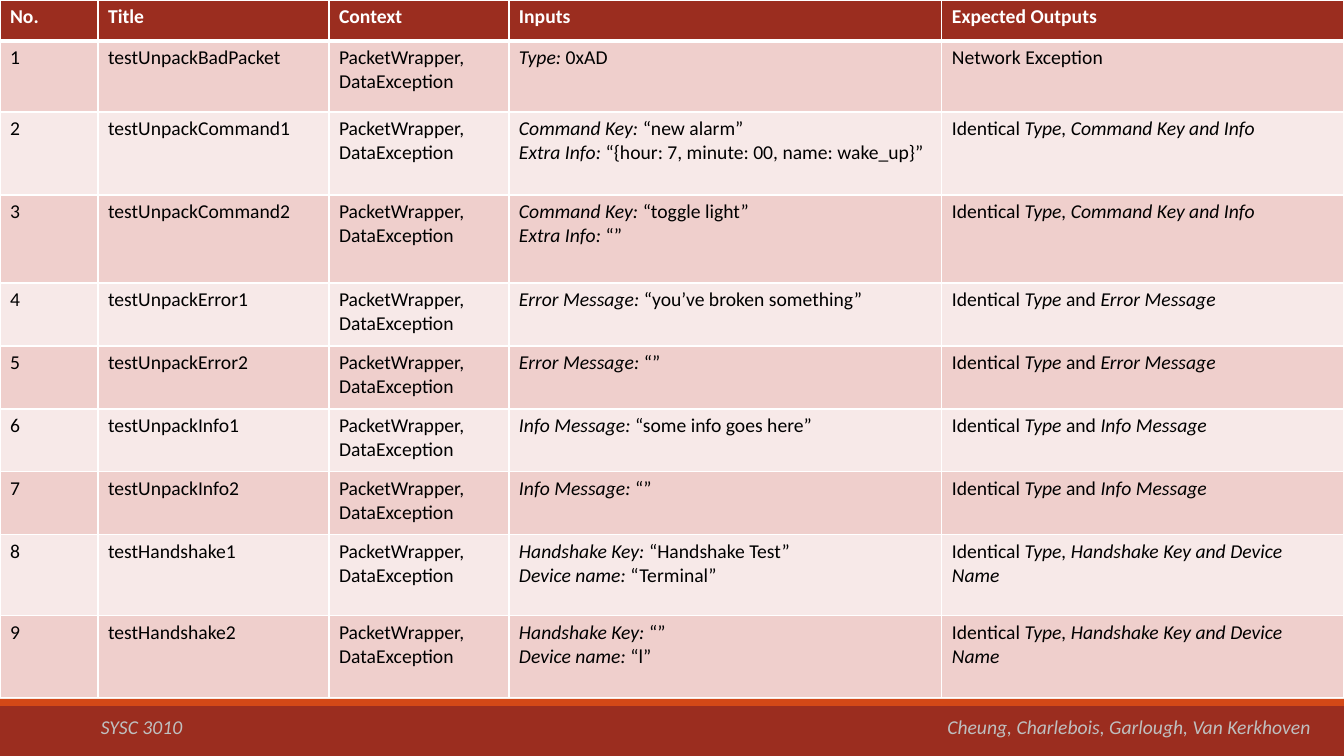
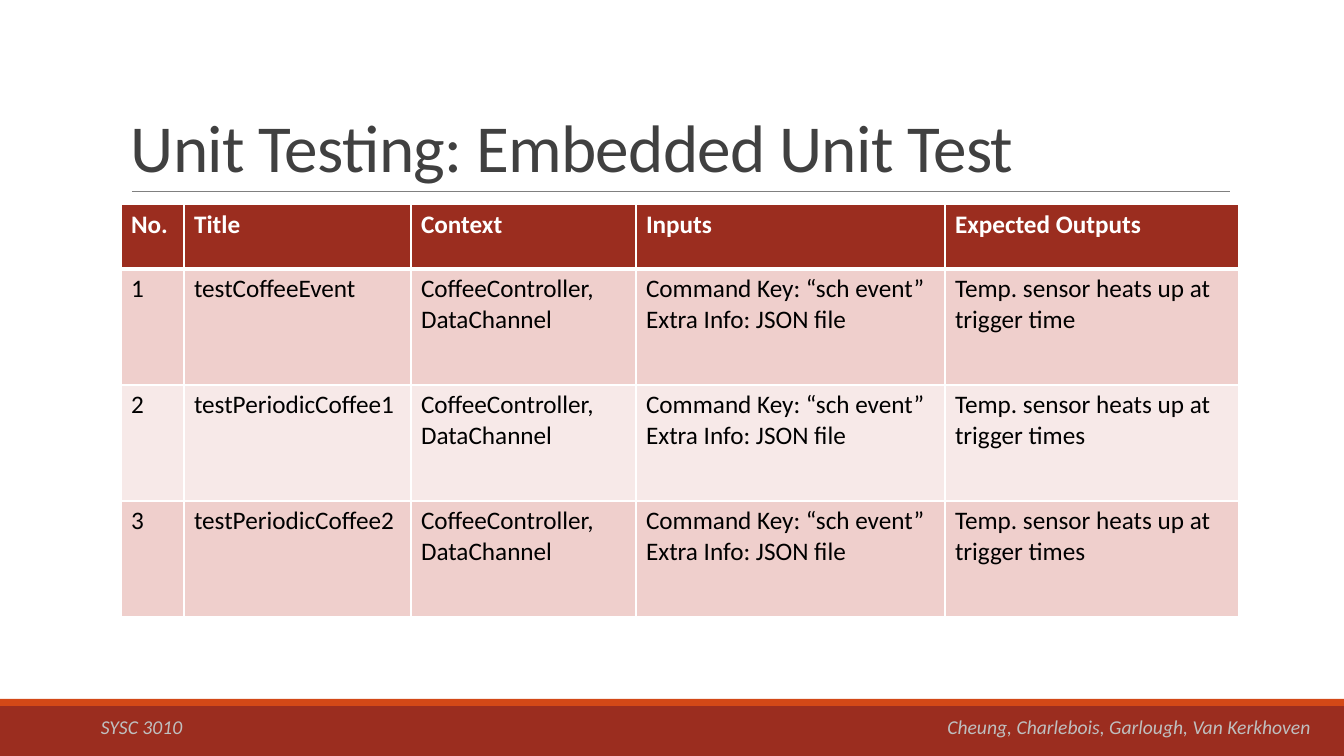
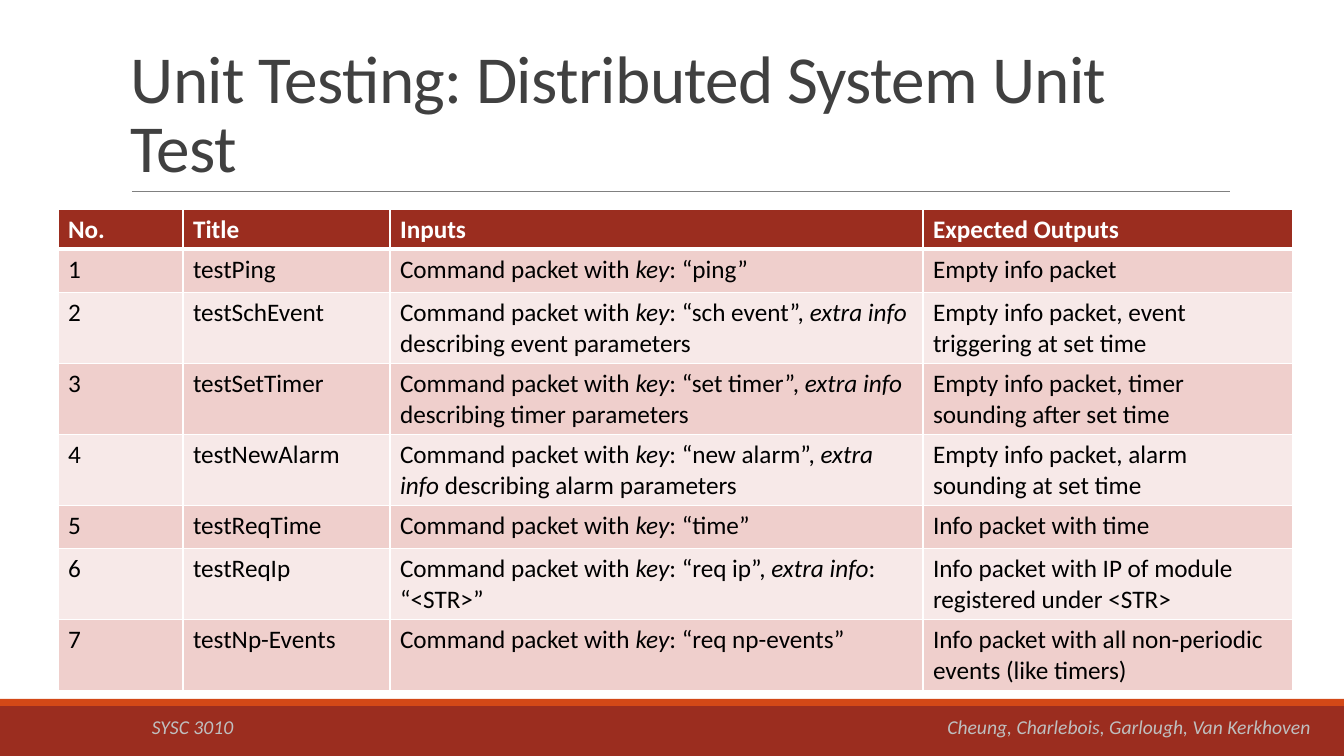
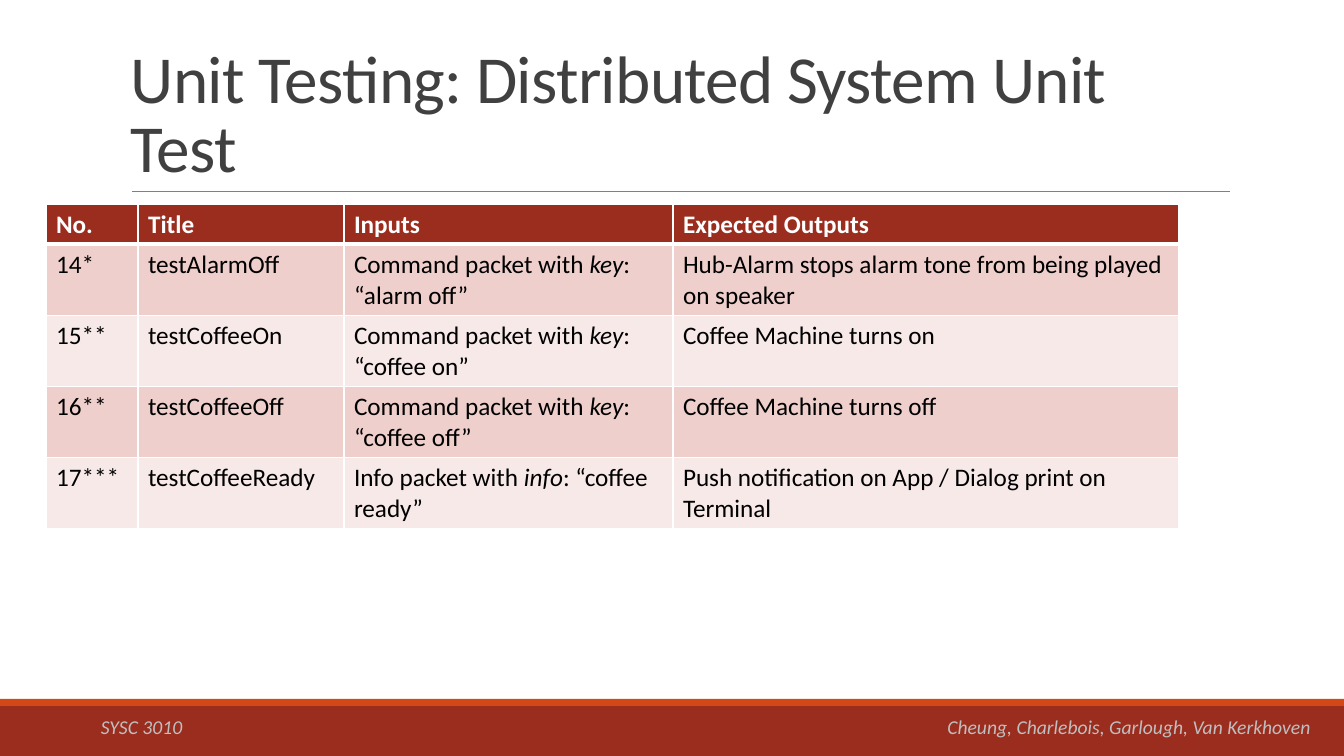
from dataclasses import dataclass

from lxml import etree
from pptx import Presentation
from pptx.dml.color import RGBColor
from pptx.enum.shapes import MSO_CONNECTOR, MSO_SHAPE
from pptx.enum.text import MSO_ANCHOR, PP_ALIGN
from pptx.oxml.ns import qn
from pptx.slide import Slide
from pptx.table import _Cell
from pptx.text.text import TextFrame
from pptx.util import Emu, Pt

# Shared look
FONT = "Calibri"
WHITE = RGBColor(0xFF, 0xFF, 0xFF)
BLACK = RGBColor(0x00, 0x00, 0x00)
BRICK = RGBColor(0x9B, 0x2D, 0x1F)
ORANGE = RGBColor(0xD3, 0x48, 0x17)
ROSE = RGBColor(0xEF, 0xCF, 0xCC)
PALE_ROSE = RGBColor(0xF7, 0xE9, 0xE8)
TITLE_GREY = RGBColor(0x40, 0x40, 0x40)
RULE_GREY = RGBColor(0x80, 0x80, 0x80)
FOOTER_GREY = RGBColor(0xBF, 0xBF, 0xBF)

SLIDE_WIDTH, SLIDE_HEIGHT = 1344, 756
EMU_PER_PIXEL = 914400 / 100.8
COURSE = "SYSC 3010"
AUTHORS = "Cheung, Charlebois, Garlough, Van Kerkhoven"


def px(pixels: int) -> Emu:
    return Emu(round(pixels * EMU_PER_PIXEL))


@dataclass(frozen=True)
class Box:
    left: int
    top: int
    width: int
    height: int

    def emu(self) -> tuple[Emu, Emu, Emu, Emu]:
        return px(self.left), px(self.top), px(self.width), px(self.height)


@dataclass(frozen=True)
class TextStyle:
    size: int
    color: RGBColor
    bold: bool = False
    italic: bool = False
    spacing: int = 0  # hundredths of a point


@dataclass(frozen=True)
class TestTable:
    left: int
    top: int
    columns: list[int]
    rows: list[int]
    size: int
    cells: list[tuple[str, ...]]  # |bars| enclose italics, line ends split paragraphs


@dataclass(frozen=True)
class TestSlide:
    table: TestTable
    title: str = ""
    course_left: int = 91


TITLE_STYLE = TextStyle(48, TITLE_GREY, spacing=-50)
FOOTER_STYLE = TextStyle(14, FOOTER_GREY, italic=True)
TITLE_BOX = Box(121, 31, 1109, 160)
BANDS = [
    (Box(0, 706, SLIDE_WIDTH, 50), BRICK),
    (Box(0, 699, SLIDE_WIDTH, 7), ORANGE),
]


# Drawing functions
def write(frame: TextFrame, text: str, style: TextStyle,
          align: PP_ALIGN = PP_ALIGN.LEFT, line_spacing: float = 1.0) -> None:
    frame.word_wrap = True
    for index, line in enumerate(text.split("\n")):
        paragraph = frame.add_paragraph() if index else frame.paragraphs[0]
        paragraph.alignment = align
        paragraph.line_spacing = line_spacing
        for part, words in enumerate(line.split("|")):
            if not words:
                continue
            run = paragraph.add_run()
            run.text = words
            font = run.font
            font.name, font.size, font.bold = FONT, Pt(style.size), style.bold
            font.italic = style.italic or part % 2 == 1
            font.color.rgb = style.color
            if style.spacing:
                font._element.set("spc", str(style.spacing))


def add_text(slide: Slide, box: Box, text: str, style: TextStyle,
             align: PP_ALIGN = PP_ALIGN.LEFT, anchor: MSO_ANCHOR = MSO_ANCHOR.TOP,
             line_spacing: float = 1.0) -> None:
    frame = slide.shapes.add_textbox(*box.emu()).text_frame
    frame.vertical_anchor = anchor
    write(frame, text, style, align, line_spacing)


def add_bands(slide: Slide) -> None:
    for box, color in BANDS:
        band = slide.shapes.add_shape(MSO_SHAPE.RECTANGLE, *box.emu())
        band.shadow.inherit = False
        band.fill.solid()
        band.fill.fore_color.rgb = color
        band.line.fill.background()


def add_title(slide: Slide, title: str) -> None:
    rule = slide.shapes.add_connector(
        MSO_CONNECTOR.STRAIGHT, px(132), px(191), px(1230), px(191))
    rule.line.color.rgb = RULE_GREY
    rule.line.width = Pt(0.5)
    etree.SubElement(rule._element.spPr, qn("a:effectLst"))
    add_text(slide, TITLE_BOX, title, TITLE_STYLE,
             anchor=MSO_ANCHOR.BOTTOM, line_spacing=0.85)


def add_footer(slide: Slide, course_left: int) -> None:
    add_text(slide, Box(course_left, 710, 200, 34), COURSE, FOOTER_STYLE)
    add_text(slide, Box(821, 710, 500, 34), AUTHORS, FOOTER_STYLE, PP_ALIGN.RIGHT)


def add_borders(cell: _Cell, top: int, bottom: int) -> None:
    properties = cell._tc.get_or_add_tcPr()
    for side, width in (("L", 1), ("R", 1), ("T", top), ("B", bottom)):
        border = etree.SubElement(properties, qn(f"a:ln{side}"), w=str(Pt(width)))
        fill = etree.SubElement(border, qn("a:solidFill"))
        etree.SubElement(fill, qn("a:srgbClr"), val=str(WHITE))


def add_test_table(slide: Slide, spec: TestTable) -> None:
    box = Box(spec.left, spec.top, sum(spec.columns), sum(spec.rows))
    table = slide.shapes.add_table(
        len(spec.rows), len(spec.columns), *box.emu()).table
    table.horz_banding = False
    for column, width in zip(table.columns, spec.columns):
        column.width = px(width)
    for row, height in zip(table.rows, spec.rows):
        row.height = px(height)
    for r, texts in enumerate(spec.cells):
        header = r == 0
        style = TextStyle(spec.size, WHITE if header else BLACK, bold=header)
        for c, text in enumerate(texts):
            cell = table.cell(r, c)
            add_borders(cell, top=3 if r == 1 else 1, bottom=3 if header else 1)
            cell.fill.solid()
            cell.fill.fore_color.rgb = BRICK if header else ROSE if r % 2 else PALE_ROSE
            write(cell.text_frame, text, style)


# Slide contents
HEADER = ("No.", "Title", "Context", "Inputs", "Expected Outputs")
SHORT_HEADER = ("No.", "Title", "Inputs", "Expected Outputs")
PACKET = "PacketWrapper,\nDataException"
COFFEE = "CoffeeController,\nDataChannel"
SCHEDULE = "Command Key: “sch event”\nExtra Info: JSON file"
SAME_COMMAND = "Identical |Type, Command Key and Info|"
SAME_ERROR = "Identical |Type |and |Error Message|"
SAME_INFO = "Identical |Type |and |Info Message|"
SAME_HANDSHAKE = "Identical |Type, Handshake Key and Device Name|"
COMMAND = "Command packet with |key|: "
DISTRIBUTED = "Unit Testing: Distributed System Unit Test"

UNPACK_TESTS = TestTable(
    0, 0, [98, 231, 180, 433, 402], [41, 71, 83, 88, 63, 63, 63, 63, 81, 82], 14, [
        HEADER,
        ("1", "testUnpackBadPacket", PACKET, "|Type: |0xAD", "Network Exception"),
        ("2", "testUnpackCommand1", PACKET,
         "|Command Key: |“new alarm”\n"
         "|Extra Info: |“{hour: 7, minute: 00, name: wake_up}”", SAME_COMMAND),
        ("3", "testUnpackCommand2", PACKET,
         "|Command Key: |“toggle light”\n|Extra Info: |“”", SAME_COMMAND),
        ("4", "testUnpackError1", PACKET,
         "|Error Message: |“you’ve broken something”", SAME_ERROR),
        ("5", "testUnpackError2", PACKET, "|Error Message: |“”", SAME_ERROR),
        ("6", "testUnpackInfo1", PACKET,
         "|Info Message:| “some info goes here”", SAME_INFO),
        ("7", "testUnpackInfo2", PACKET, "|Info Message:| “”", SAME_INFO),
        ("8", "testHandshake1", PACKET,
         "|Handshake Key: |“Handshake Test”\n|Device name: |“Terminal”",
         SAME_HANDSHAKE),
        ("9", "testHandshake2", PACKET,
         "|Handshake Key: |“”\n|Device name: |“l”", SAME_HANDSHAKE),
    ])

COFFEE_TESTS = TestTable(
    121, 204, [63, 227, 225, 309, 294], [65] + [116] * 3, 18, [
        HEADER,
        ("1", "testCoffeeEvent", COFFEE, SCHEDULE,
         "Temp. sensor heats up at trigger time"),
        ("2", "testPeriodicCoffee1", COFFEE, SCHEDULE,
         "Temp. sensor heats up at trigger times"),
        ("3", "testPeriodicCoffee2", COFFEE, SCHEDULE,
         "Temp. sensor heats up at trigger times"),
    ])

PACKET_TESTS = TestTable(
    58, 209, [125, 207, 533, 370], [40, 43, 71, 71, 71, 43, 71, 71], 18, [
        SHORT_HEADER,
        ("1", "testPing", COMMAND + "“ping”", "Empty info packet"),
        ("2", "testSchEvent",
         COMMAND + "“sch event”, |extra info| describing event parameters",
         "Empty info packet, event triggering at set time"),
        ("3", "testSetTimer",
         COMMAND + "“set timer”, |extra info| describing timer parameters",
         "Empty info packet, timer sounding after set time"),
        ("4", "testNewAlarm",
         COMMAND + "“new alarm”, |extra info| describing alarm parameters",
         "Empty info packet, alarm sounding at set time"),
        ("5", "testReqTime", COMMAND + "“time”", "Info packet with time"),
        ("6", "testReqIp", COMMAND + "“req ip”, |extra info|: “<STR>”",
         "Info packet with IP of module registered under <STR>"),
        ("7", "testNp-Events", COMMAND + "“req np-events”",
         "Info packet with all non-periodic events (like timers)"),
    ])

DEVICE_TESTS = TestTable(
    46, 204, [92, 206, 329, 506], [40] + [71] * 4, 18, [
        SHORT_HEADER,
        ("14*", "testAlarmOff", COMMAND + "“alarm off”",
         "Hub-Alarm stops alarm tone from being played on speaker"),
        ("15**", "testCoffeeOn", COMMAND + "“coffee on”", "Coffee Machine turns on"),
        ("16**", "testCoffeeOff", COMMAND + "“coffee off”", "Coffee Machine turns off"),
        ("17***", "testCoffeeReady", "Info packet with |info|: “coffee ready”",
         "Push notification on App / Dialog print on Terminal"),
    ])

SLIDES = [
    TestSlide(UNPACK_TESTS),
    TestSlide(COFFEE_TESTS, "Unit Testing: Embedded Unit Test"),
    TestSlide(PACKET_TESTS, DISTRIBUTED, course_left=142),
    TestSlide(DEVICE_TESTS, DISTRIBUTED),
]

# Build the deck
deck = Presentation()
deck.slide_width, deck.slide_height = px(SLIDE_WIDTH), px(SLIDE_HEIGHT)
for content in SLIDES:
    page = deck.slides.add_slide(deck.slide_layouts[6])
    add_bands(page)
    if content.title:
        add_title(page, content.title)
    add_test_table(page, content.table)
    add_footer(page, content.course_left)
deck.save("out.pptx")
